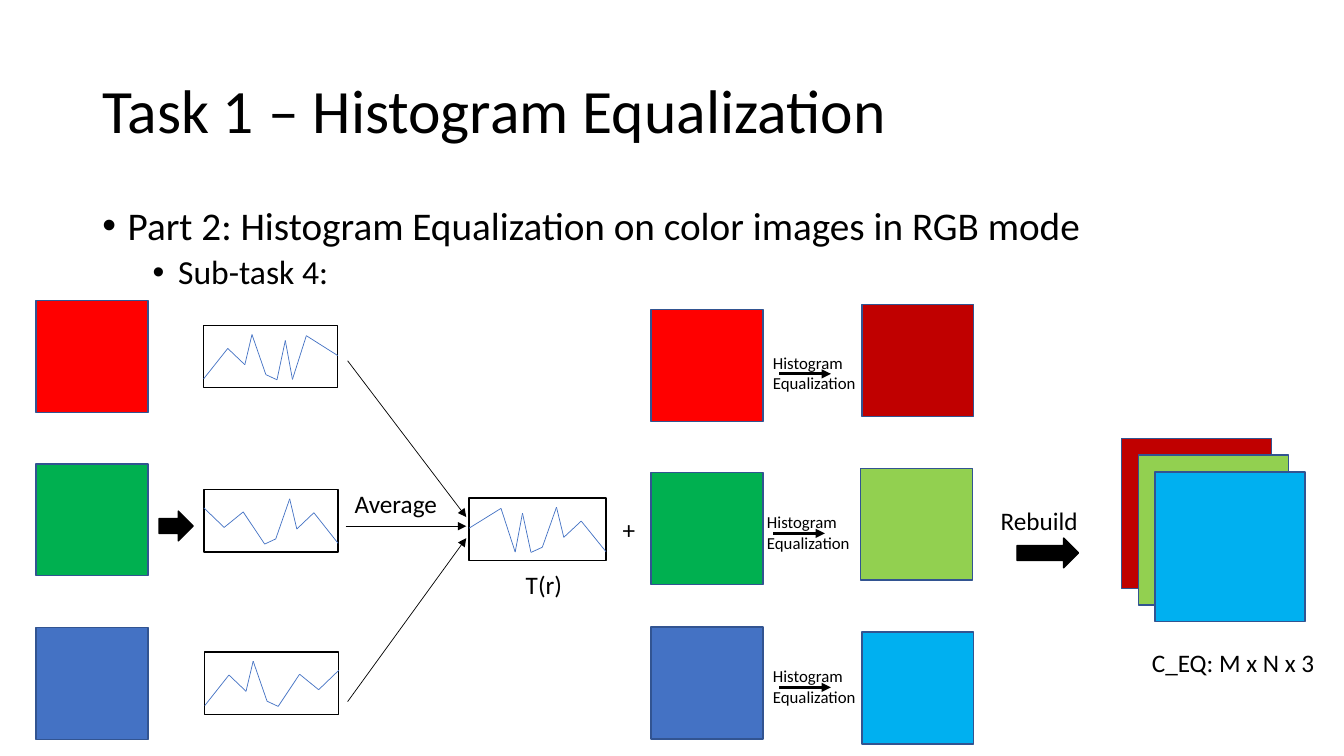
from dataclasses import dataclass
from itertools import pairwise
from typing import Any

from lxml.etree import SubElement
from pptx import Presentation
from pptx.dml.color import RGBColor
from pptx.enum.shapes import MSO_CONNECTOR, MSO_SHAPE
from pptx.enum.text import MSO_ANCHOR
from pptx.oxml.ns import qn
from pptx.util import Cm, Pt

FONT = "Calibri"
INK = {
    "black": "000000", "white": "FFFFFF", "edge": "325491", "curve": "4472C4",
    "red": "FF0000", "green": "00B050", "blue": "4472C4",
    "dark": "C00000", "lime": "92D050", "sky": "00B0F0",
}
Point = tuple[float, float]


@dataclass
class Label:
    text: str
    x: float
    y: float
    w: float
    h: float = 1.02
    size: int = 18
    wrap: bool = True


@dataclass
class Para:
    text: str
    size: int
    indent: float
    before: int


@dataclass
class Block:
    color: str
    x: float
    y: float
    side: float = 2.82


@dataclass
class Plot:
    x: float
    y: float
    tail: list[Point]
    mirror: bool = False
    w: float = 3.38


# Curve points inside a plot frame, in centimetres
FRAME_W, FRAME_H = 3.38, 1.57
HEAD = [(0, 1.35), (0.61, 0.58), (1.04, 0.99), (1.22, 0.23), (1.57, 1.24), (1.85, 1.37)]
SHARP = [(2.06, 0.38), (2.24, 1.36), (2.59, 0.26), (FRAME_W, 0.76)]
SOFT = [(2.39, 0.56), (2.87, 0.95), (FRAME_W, 0.46)]

PLOTS = [
    Plot(5.14, 12.34, SOFT, mirror=True),
    Plot(5.16, 16.43, SOFT),
    Plot(5.13, 8.2, SHARP),
    Plot(11.82, 12.55, SHARP, mirror=True, w=3.45),
]
INPUTS = ["red", "green", "blue"]
RESULTS = ["dark", "lime", "sky"]
BLOCKS = [
    *(Block(c, 0.91, 7.57 + 4.12 * i) for i, c in enumerate(INPUTS)),
    *(Block(c, 16.41, y) for c, y in zip(INPUTS, (7.8, 11.91, 15.8))),
    *(Block(c, x, 7.67 + 4.13 * i)
      for i, (c, x) in enumerate(zip(RESULTS, (21.72, 21.69, 21.72)))),
    *(Block(c, 28.27 + 0.42 * i, 11.05 + 0.42 * i, 3.78)
      for i, c in enumerate(RESULTS)),
]
LABELS = [
    Label("Average", 8.69, 12.17, 2.62, wrap=False),
    Label("T(r)", 13, 14.22, 1.45, wrap=False),
    Label("+", 15.44, 12.83, 0.84, wrap=False),
    Label("Rebuild", 24.97, 12.62, 2.49),
    Label("C_EQ: M x N x 3", 28.78, 16.18, 4.65),
]
STEPS = [(19.23, 8.76), (19.08, 12.78), (19.23, 16.66)]
BODY = [
    Para("Part 2: Histogram Equalization on color images in RGB mode", 28, 0.64, 10),
    Para("Sub-task 4:", 24, 1.91, 5),
]


def tint(name: str) -> RGBColor:
    return RGBColor.from_string(INK[name])


def add_box(shapes: Any, kind: MSO_SHAPE, x: float, y: float, w: float, h: float,
            fill: str, edge: str) -> None:
    box = shapes.add_shape(kind, Cm(x), Cm(y), Cm(w), Cm(h))
    box.shadow.inherit = False
    box.fill.solid()
    box.fill.fore_color.rgb = tint(fill)
    box.line.color.rgb = tint(edge)
    box.line.width = Pt(1)


def add_line(shapes: Any, start: Point, end: Point, color: str = "black",
             width: float = 0.5, arrow: bool = False) -> None:
    ends = [Cm(v) for v in (*start, *end)]
    line = shapes.add_connector(MSO_CONNECTOR.STRAIGHT, *ends)
    line.line.color.rgb = tint(color)
    line.line.width = Pt(width)
    props = line.element.spPr
    if arrow:
        SubElement(props.find(qn("a:ln")), qn("a:tailEnd"), type="triangle")
    SubElement(props, qn("a:effectLst"))


def add_frame(shapes: Any, x: float, y: float, w: float, h: float,
              wrap: bool = True) -> Any:
    frame = shapes.add_textbox(Cm(x), Cm(y), Cm(w), Cm(h)).text_frame
    frame.word_wrap = wrap
    return frame


def set_font(para: Any, size: int) -> None:
    para.font.name = FONT
    para.font.size = Pt(size)
    para.font.color.rgb = tint("black")


def add_label(shapes: Any, label: Label) -> None:
    frame = add_frame(shapes, label.x, label.y, label.w, label.h, label.wrap)
    frame.text = label.text
    for para in frame.paragraphs:
        set_font(para, label.size)


def add_plot(shapes: Any, plot: Plot) -> None:
    group = shapes.add_group_shape().shapes
    add_box(group, MSO_SHAPE.RECTANGLE, plot.x, plot.y, plot.w, FRAME_H, "white", "black")
    scale = plot.w / FRAME_W
    curve = [(plot.x + scale * (FRAME_W - x if plot.mirror else x), plot.y + y)
             for x, y in HEAD + plot.tail]
    for start, end in pairwise(curve):
        add_line(group, start, end, "curve")


def add_body(shapes: Any) -> None:
    frame = add_frame(shapes, 2.33, 5.08, 29.21, 2.49)
    for i, item in enumerate(BODY):
        para = frame.add_paragraph() if i else frame.paragraphs[0]
        para.text = item.text
        para.line_spacing = 0.9
        para.space_before = Pt(item.before)
        props = para._p.get_or_add_pPr()
        props.set("marL", str(Cm(item.indent)))
        props.set("indent", str(-Cm(0.64)))
        SubElement(props, qn("a:buFont"), typeface="Arial")
        SubElement(props, qn("a:buChar"), char="•")
        set_font(para, item.size)


def main() -> None:
    deck = Presentation()
    deck.slide_width, deck.slide_height = Cm(33.87), Cm(19.05)
    shapes = deck.slides.add_slide(deck.slide_layouts[6]).shapes

    # Title and bullets
    title = add_frame(shapes, 2.33, 1.02, 29.21, 3.68)
    title.vertical_anchor = MSO_ANCHOR.MIDDLE
    title.text = "Task 1 – Histogram Equalization"
    title.paragraphs[0].line_spacing = 0.9
    set_font(title.paragraphs[0], 44)
    add_body(shapes)

    # Colour channels and their histograms
    for block in BLOCKS:
        add_box(shapes, MSO_SHAPE.RECTANGLE, block.x, block.y, block.side, block.side,
                block.color, "edge")
    for plot in PLOTS:
        add_plot(shapes, plot)

    # Arrows between the stages
    for x, y, w in [(4.01, 12.88, 0.86), (25.63, 13.56, 1.55)]:
        add_box(shapes, MSO_SHAPE.RIGHT_ARROW, x, y, w, 0.75, "black", "black")
    for start, end in [((8.76, 9.09), 13.03), ((8.71, 13.26), 13.26),
                       ((8.76, 17.68), 13.56)]:
        add_line(shapes, start, (11.75, end), arrow=True)

    # Captions and equalization steps
    for label in LABELS:
        add_label(shapes, label)
    for x, y in STEPS:
        add_label(shapes, Label("Histogram\nEqualization", x, y, 3.68, 1.27, 12))
        add_line(shapes, (x + 0.41, y + 0.66), (x + 1.71, y + 0.66), width=2.25, arrow=True)

    deck.save("out.pptx")


if __name__ == "__main__":
    main()
